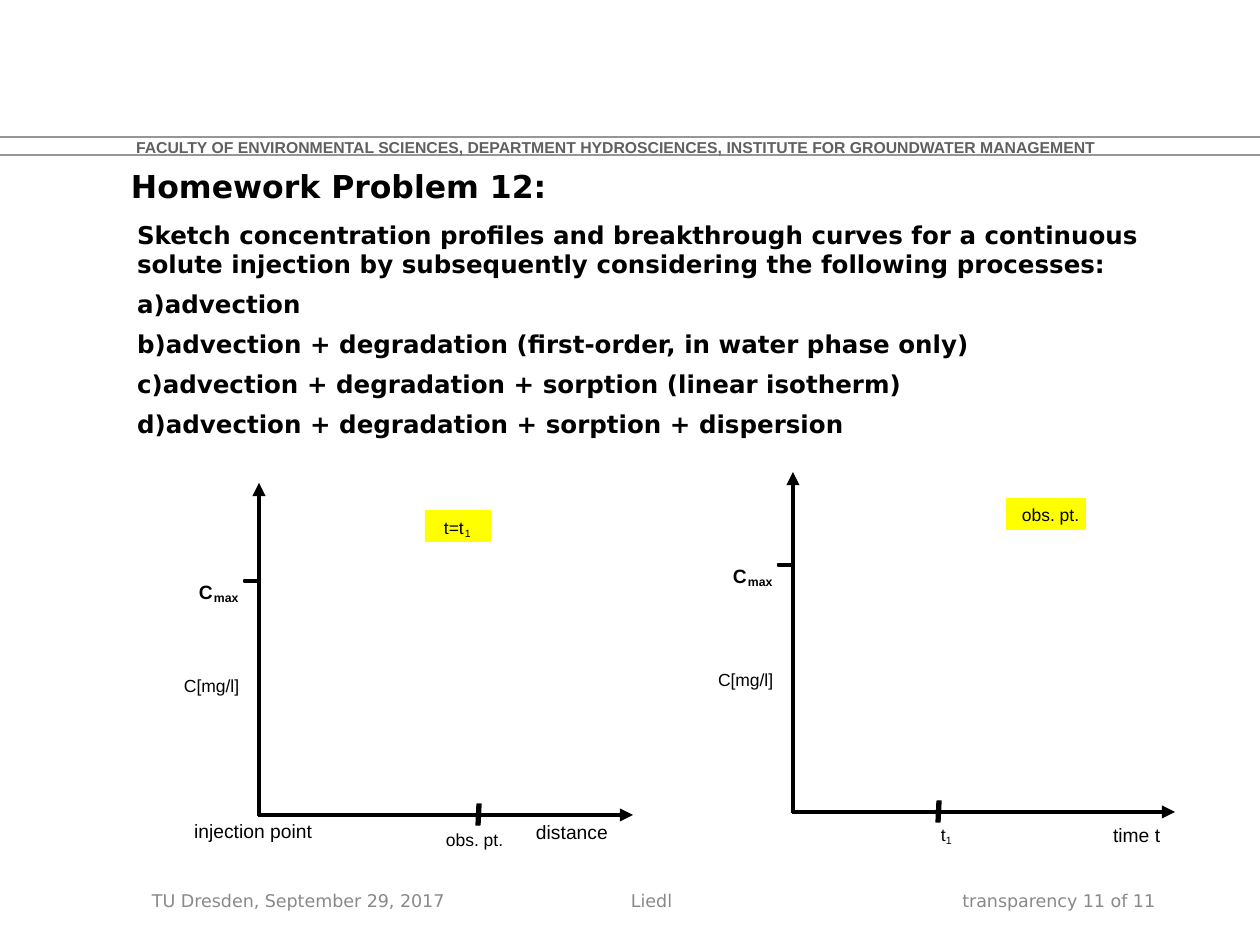
from lxml import etree
from pptx import Presentation
from pptx import util as u
from pptx.dml.color import RGBColor
from pptx.enum import shapes, text
from pptx.oxml.ns import qn

PX = u.Inches(1) / 126
INK = {"black": "000000", "rule": "969696", "head": "606060",
       "foot": "898989", "mark": "FFFF00"}
TASKS = [
    "advection",
    "advection + degradation (first-order, in water phase only)",
    "advection + degradation + sorption (linear isotherm)",
    "advection + degradation + sorption + dispersion",
]
LEFT, MID, RIGHT = text.PP_ALIGN.LEFT, text.PP_ALIGN.CENTER, text.PP_ALIGN.RIGHT
TOP, CENTER = text.MSO_ANCHOR.TOP, text.MSO_ANCHOR.MIDDLE


def px(*vals):
    return [round(v * PX) for v in vals]


def rgb(name):
    return RGBColor.from_string(INK[name])


def style(par, size, face, ink, bold, align=LEFT):
    par.font.size = u.Pt(size)
    par.font.name = face
    par.font.bold = bold
    par.font.color.rgb = rgb(ink)
    par.alignment = align


def write(slide, box, lines, size, face="DejaVu Sans", ink="black", bold=False,
          align=LEFT, anchor=TOP, pad=(13, 6, 13, 6), wrap=True):
    """Add a text box; pad is left, top, right, bottom."""
    frame = slide.shapes.add_textbox(*px(*box)).text_frame
    frame.word_wrap = wrap
    frame.vertical_anchor = anchor
    (frame.margin_left, frame.margin_top,
     frame.margin_right, frame.margin_bottom) = px(*pad)
    frame.text = "\n".join(lines)
    for par in frame.paragraphs:
        style(par, size, face, ink, bold, align)
    return frame


def label(slide, x, y, w, words, size=10, bold=False):
    write(slide, (x, y, w, size * 2 + 4), [words], size, "Arial", bold=bold,
          pad=(0, 0, 0, 0), wrap=False)


def letter(par):
    """Number a paragraph a), b), c) and so on."""
    par.space_before = u.Pt(6)
    props = par._p.get_or_add_pPr()
    props.set("marL", "0")
    props.set("indent", str(-u.Inches(0.1)))
    etree.SubElement(props, qn("a:buFont"), typeface="+mj-lt")
    etree.SubElement(props, qn("a:buAutoNum"), type="alphaLcParenR")


def line(slide, x1, y1, x2, y2, ink, width, arrow=False):
    rule = slide.shapes.add_connector(
        shapes.MSO_CONNECTOR.STRAIGHT, *px(x1, y1, x2, y2))
    rule.line.color.rgb = rgb(ink)
    rule.line.width = u.Pt(width)
    if arrow:
        etree.SubElement(rule.line._get_or_add_ln(), qn("a:tailEnd"),
                         type="triangle", w="med", len="med")
    etree.SubElement(rule._element.spPr, qn("a:effectLst"))


def paint(shape, ink, edge=False):
    shape.shadow.inherit = False
    shape.fill.solid()
    shape.fill.fore_color.rgb = rgb(ink)
    if edge:
        shape.line.color.rgb = rgb(ink)
        shape.line.width = u.Pt(0.75)
    else:
        shape.line.fill.background()


def block(slide, box, ink, edge=False):
    shape = slide.shapes.add_shape(shapes.MSO_SHAPE.RECTANGLE, *px(*box))
    paint(shape, ink, edge)


def tick(slide, x, y):
    """Slanted mark across the horizontal axis."""
    pen = slide.shapes.build_freeform(x + 5, y - 11, scale=PX)
    pen.add_line_segments([(x + 4, y + 10), (x, y + 10), (x + 1, y - 11)])
    paint(pen.convert_to_shape(), "black", True)


def plot(slide, x, y, end, top, peak, unit, mark):
    """Empty diagram with origin x, y; peak and unit are label heights."""
    line(slide, x - 1, y, end, y, "black", 2.5, True)
    line(slide, x, y + 1, x, top, "black", 2.5, True)
    block(slide, (x - 15, peak, 16, 2), "black", True)
    label(slide, x - 60, peak, 25, "C", 11, True)
    label(slide, x - 45, peak + 10, 37, "max", 7, True)
    label(slide, x - 75, unit, 67, "C[mg/l]")
    tick(slide, mark, y)


def frame(slide):
    for y in (155, 137):
        line(slide, 0, y, 1260, y, "rule", 0.75)
    write(slide, (136, 140, 1029, 21),
          ["FACULTY OF ENVIRONMENTAL SCIENCES, DEPARTMENT HYDROSCIENCES, "
           "INSTITUTE FOR GROUNDWATER MANAGEMENT"],
          9, "Arial", "head", True, anchor=CENTER, pad=(0, 0, 13, 6))
    for x, w, words, align in (
            (139, 333, "TU Dresden, September 29, 2017", LEFT),
            (452, 399, "Liedl", MID),
            (874, 294, "transparency 11 of 11", RIGHT)):
        write(slide, (x, 876, w, 50), [words], 10, ink="foot",
              align=align, anchor=CENTER)


def main():
    deck = Presentation()
    deck.slide_width, deck.slide_height = u.Inches(10), u.Inches(7.5)
    slide = deck.slides.add_slide(deck.slide_layouts[6])
    frame(slide)

    write(slide, (131, 161, 1043, 53), ["Homework Problem 12:"], 18,
          bold=True, pad=(0, 6, 13, 6))
    body = write(slide, (124, 214, 1113, 233),
                 ["Sketch concentration profiles and breakthrough curves for a "
                  "continuous solute injection by subsequently considering the "
                  "following processes:"] + TASKS, 14, bold=True)
    for par in body.paragraphs[1:]:
        letter(par)

    plot(slide, 259, 815, 633, 483, 580, 675, 476)
    block(slide, (425, 510, 66, 32), "mark")
    label(slide, 444, 517, 30, "t=t")
    label(slide, 465, 527, 13, "1", 6)
    label(slide, 194, 819, 131, "injection point", 11)
    label(slide, 446, 829, 63, "obs. pt.")
    label(slide, 536, 820, 79, "distance", 11)

    plot(slide, 793, 812, 1175, 472, 564, 669, 936)
    block(slide, (1006, 498, 80, 32), "mark")
    label(slide, 1022, 504, 63, "obs. pt.")
    label(slide, 941, 824, 13, "t")
    label(slide, 946, 834, 13, "1", 6)
    label(slide, 1113, 823, 58, "time t", 11)

    deck.save("out.pptx")


if __name__ == "__main__":
    main()
